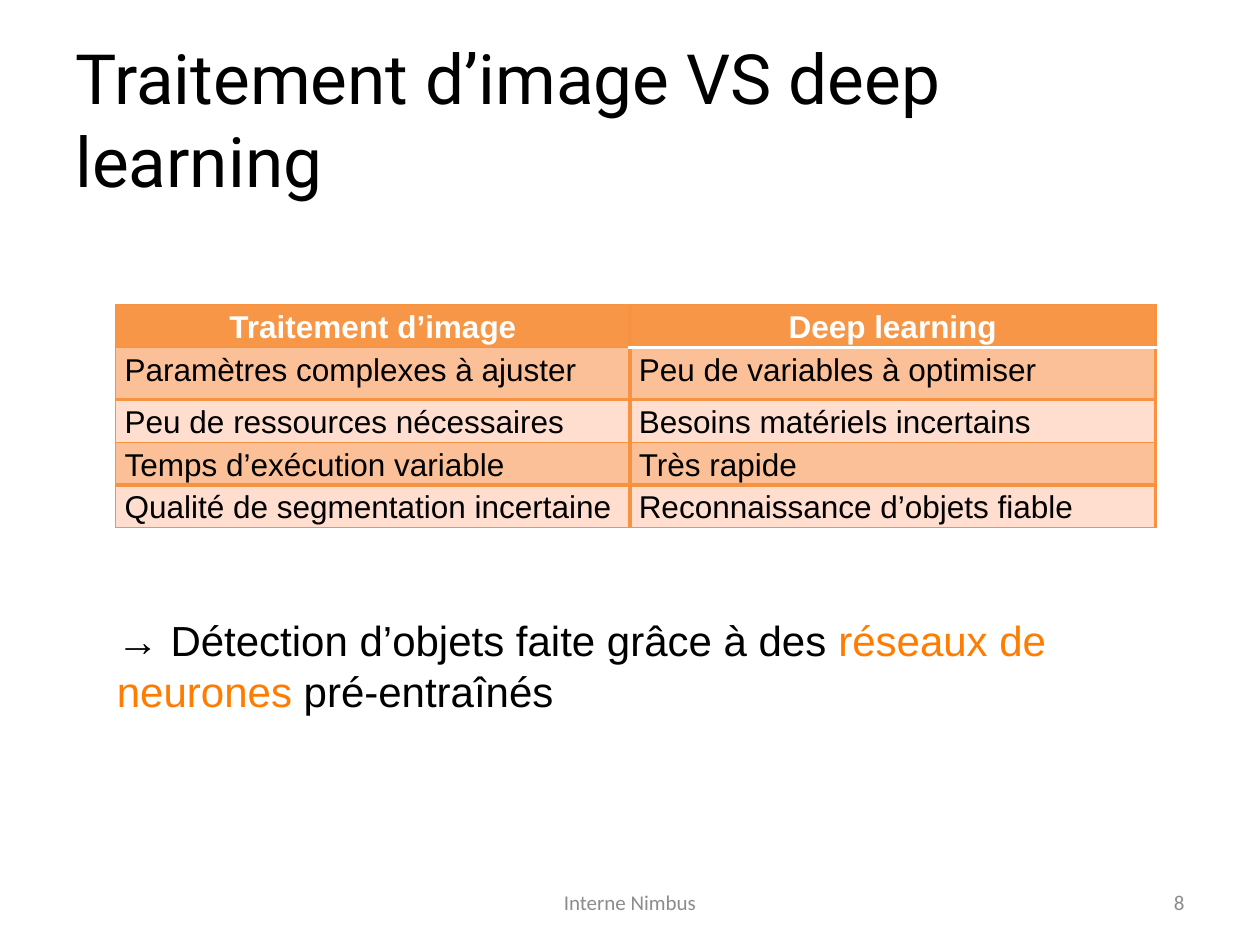
from dataclasses import dataclass

import pptx
import pptx.dml.color
import pptx.enum.text
import pptx.oxml
import pptx.oxml.ns
import pptx.util
from pptx.dml.color import RGBColor

Inches, Pt = pptx.util.Inches, pptx.util.Pt
Align = pptx.enum.text.PP_ALIGN
Anchor = pptx.enum.text.MSO_ANCHOR

BLACK = RGBColor(0x00, 0x00, 0x00)
WHITE = RGBColor(0xFF, 0xFF, 0xFF)
GREY = RGBColor(0x8C, 0x8C, 0x8C)
HIGHLIGHT = RGBColor(0xFF, 0x7C, 0x00)
HEADER_FILL = RGBColor(0xF7, 0x96, 0x46)
BORDER = RGBColor(0xF6, 0x92, 0x40)
DARK_BAND = RGBColor(0xFC, 0xC0, 0x98)
LIGHT_BAND = RGBColor(0xFF, 0xDD, 0xCF)

SLIDE_WIDTH, SLIDE_HEIGHT = Inches(10), Inches(7.5)
THIN, THICK = 0.75, 2

COLUMN_WIDTHS = (4.08, 4.17)
ROW_HEIGHTS = (0.34, 0.41, 0.34, 0.34, 0.34)
COMPARISON = (
    ("Traitement d’image", "Deep learning"),
    ("Paramètres complexes à ajuster", "Peu de variables à optimiser"),
    ("Peu de ressources nécessaires", "Besoins matériels incertains"),
    ("Temps d’exécution variable", "Très rapide"),
    ("Qualité de segmentation incertaine", "Reconnaissance d’objets fiable"),
)


@dataclass
class TextBlock:
    """Runs of text in a box given as shares of the slide's size."""
    left: float
    top: float
    width: float
    height: float
    runs: tuple[tuple[str, RGBColor], ...]
    font: str
    size: float
    alignment: Align = Align.LEFT
    anchor: Anchor = Anchor.MIDDLE


TEXT_BLOCKS = (
    # Title
    TextBlock(0.05, 0.04, 0.9, 0.17,
              (("Traitement d’image VS deep learning", BLACK),), "Roboto", 39.6),
    # Footer and page number
    TextBlock(0.34, 0.93, 0.32, 0.05, (("Interne Nimbus", GREY),),
              "Calibri", 12, Align.CENTER),
    TextBlock(0.72, 0.93, 0.23, 0.05, (("8", GREY),), "Calibri", 12, Align.RIGHT),
    # Conclusion
    TextBlock(0.083, 0.644, 0.833, 0.12,
              (("→ Détection d’objets faite grâce à des ", BLACK),
               ("réseaux de neurones", HIGHLIGHT),
               (" pré-entraînés", BLACK)),
              "Arial", 24, anchor=Anchor.TOP),
)


def add_text(slide: pptx.slide.Slide, block: TextBlock) -> None:
    shape = slide.shapes.add_textbox(
        int(block.left * SLIDE_WIDTH), int(block.top * SLIDE_HEIGHT),
        int(block.width * SLIDE_WIDTH), int(block.height * SLIDE_HEIGHT))
    frame = shape.text_frame
    frame.word_wrap = True
    frame.vertical_anchor = block.anchor
    paragraph = frame.paragraphs[0]
    paragraph.alignment = block.alignment
    paragraph.font.name = block.font
    paragraph.font.size = Pt(block.size)
    for text, color in block.runs:
        run = paragraph.add_run()
        run.text = text
        run.font.color.rgb = color


def add_border(cell, side: str, color: RGBColor, width: float) -> None:
    properties = cell._tc.get_or_add_tcPr()
    properties.append(pptx.oxml.parse_xml(
        f'<a:ln{side} {pptx.oxml.ns.nsdecls("a")} w="{int(Pt(width))}">'
        f'<a:solidFill><a:srgbClr val="{color}"/></a:solidFill></a:ln{side}>'))


def style_cell(cell, text: str, row: int, column: int) -> None:
    header, right_column = row == 0, column == 1
    cell.margin_left = cell.margin_right = Inches(0.07)
    cell.margin_top = cell.margin_bottom = 0

    paragraph = cell.text_frame.paragraphs[0]
    paragraph.text = text
    paragraph.alignment = Align.CENTER if header else Align.JUSTIFY
    paragraph.line_spacing = 1.15
    paragraph.font.name = "Arial"
    paragraph.font.size = Pt(18)
    paragraph.font.bold = header
    paragraph.font.color.rgb = WHITE if header else BLACK

    # Borders come before the fill in the cell's properties
    white_rule_above = row == 1 and right_column
    white_rule_below = header and right_column
    add_border(cell, "L", BORDER, THICK if right_column else THIN)
    add_border(cell, "R", BORDER, THICK)
    add_border(cell, "T", WHITE if white_rule_above else BORDER,
               THICK if white_rule_above or row in (2, 4) else THIN)
    add_border(cell, "B", WHITE if white_rule_below else BORDER,
               THICK if white_rule_below or row in (1, 3) else THIN)

    cell.fill.solid()
    band = DARK_BAND if row % 2 else LIGHT_BAND
    cell.fill.fore_color.rgb = HEADER_FILL if header else band


def add_comparison(slide: pptx.slide.Slide) -> None:
    table = slide.shapes.add_table(
        len(ROW_HEIGHTS), len(COLUMN_WIDTHS), Inches(0.92), Inches(2.42),
        Inches(sum(COLUMN_WIDTHS)), Inches(sum(ROW_HEIGHTS))).table
    for column, width in zip(table.columns, COLUMN_WIDTHS):
        column.width = Inches(width)
    for row, height in zip(table.rows, ROW_HEIGHTS):
        row.height = Inches(height)
    for row, texts in enumerate(COMPARISON):
        for column, text in enumerate(texts):
            style_cell(table.cell(row, column), text, row, column)


def main() -> None:
    presentation = pptx.Presentation()
    presentation.slide_width = SLIDE_WIDTH
    presentation.slide_height = SLIDE_HEIGHT
    slide = presentation.slides.add_slide(presentation.slide_layouts[6])
    add_comparison(slide)
    for block in TEXT_BLOCKS:
        add_text(slide, block)
    presentation.save("out.pptx")


if __name__ == "__main__":
    main()
